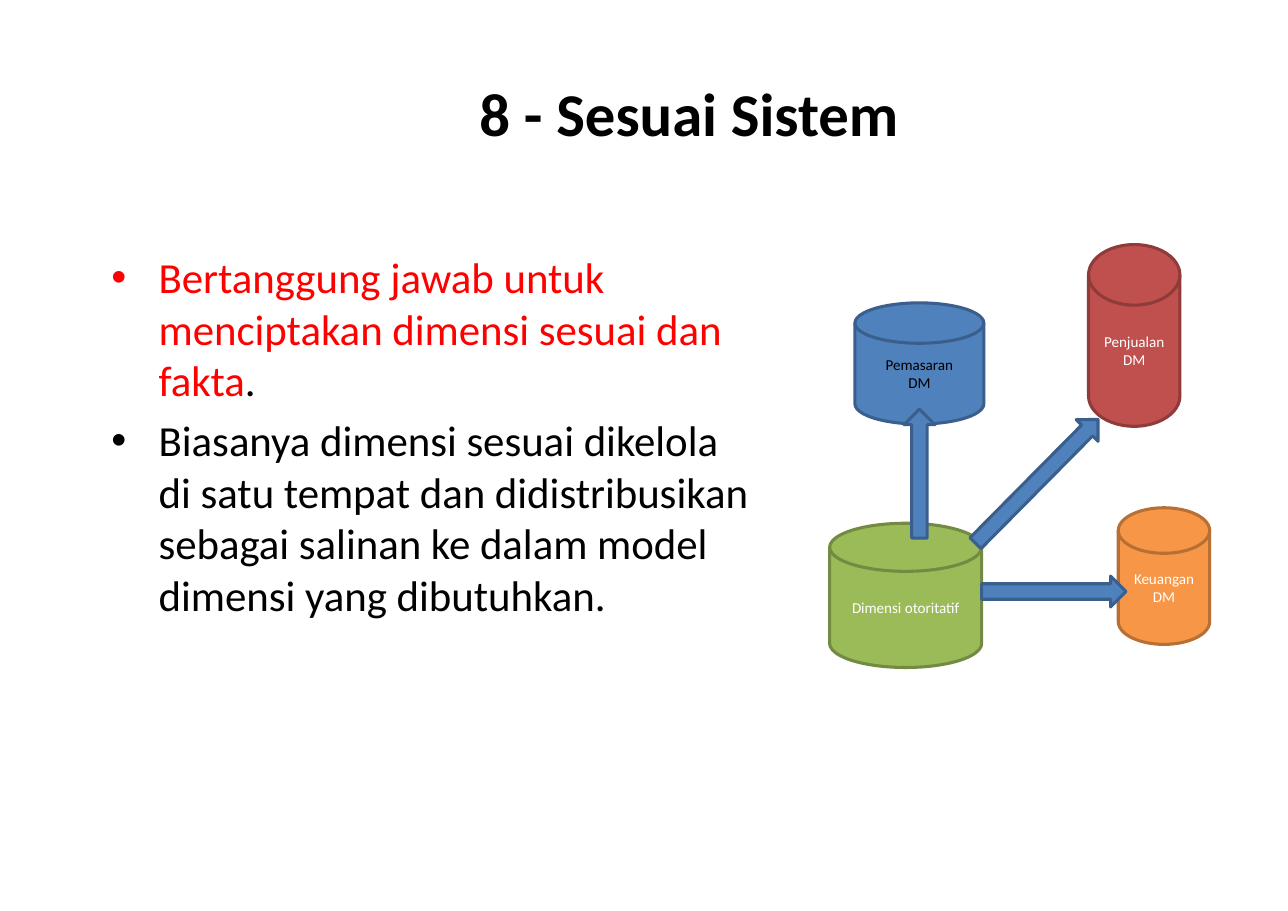
import pptx
import pptx.util
import pptx.dml.color
import pptx.enum.shapes
import pptx.enum.text

Inches = pptx.util.Inches
Pt = pptx.util.Pt
SHAPE = pptx.enum.shapes.MSO_SHAPE
ALIGN = pptx.enum.text.PP_ALIGN
ANCHOR = pptx.enum.text.MSO_ANCHOR

COLORS = {
    "black": "000000", "white": "FFFFFF", "red": "FF0000",
    "blue": "4F81BD", "navy": "3A5F8C",
    "green": "9BBB59", "moss": "738A42",
    "brick": "C0504D", "wine": "8E3B39",
    "orange": "F79646", "rust": "B76F34",
}


def color(name):
    return pptx.dml.color.RGBColor.from_string(COLORS[name])


def write(para, text, size=28, tint="black", bold=False, align=None):
    """Add text to a paragraph, with a line break at each newline."""
    para.alignment = align
    for i, line in enumerate(text.split("\n")):
        if i:
            para.add_line_break()
        run = para.add_run()
        run.text = line
        font = run.font
        font.name, font.size, font.bold = "Calibri", Pt(size), bold
        font.color.rgb = color(tint)


deck = pptx.Presentation()
deck.slide_width, deck.slide_height = Inches(11.69), Inches(8.27)
slide = deck.slides.add_slide(deck.slide_layouts[1])

# Title and body placeholders
title, body = slide.placeholders
for holder, box, anchor in [
    (title, (1.41, 0.33, 9.69, 1.38), ANCHOR.MIDDLE),
    (body, (0.9, 2.22, 6.01, 3.98), ANCHOR.TOP),
]:
    holder.left, holder.top, holder.width, holder.height = map(Inches, box)
    frame = holder.text_frame
    frame.auto_size = pptx.enum.text.MSO_AUTO_SIZE.NONE
    frame.word_wrap = True
    frame.vertical_anchor = anchor
    frame.margin_left = frame.margin_right = Inches(0.11)
    frame.margin_top = frame.margin_bottom = Inches(0.06)

write(title.text_frame.paragraphs[0], "8 - Sesuai Sistem",
      size=39.7, bold=True, align=ALIGN.CENTER)

duty = body.text_frame.paragraphs[0]
write(duty, "Bertanggung jawab untuk menciptakan dimensi sesuai dan fakta", tint="red")
write(duty, ".")
usage = body.text_frame.add_paragraph()
write(usage, "Biasanya dimensi sesuai dikelola di satu tempat dan didistribusikan "
             "sebagai salinan ke dalam model dimensi yang dibutuhkan.")
for para in (duty, usage):
    props = para._p.get_or_add_pPr()
    props.set("marL", str(Inches(0.43)))
    props.set("indent", str(Inches(-0.43)))

# Data stores, then the arrows between them
DISK, ARROW = SHAPE.FLOWCHART_MAGNETIC_DISK, SHAPE.RIGHT_ARROW
for kind, box, turn, fill, edge, text, tint in [
    (DISK, (7.53, 4.75, 1.38, 1.31), 0, "green", "moss", "Dimensi otoritatif", "white"),
    (DISK, (7.76, 2.75, 1.17, 1.1), 0, "blue", "navy", "Pemasaran\nDM", "black"),
    (DISK, (9.88, 2.22, 0.83, 1.65), 0, "brick", "wine", "Penjualan\nDM", "white"),
    (DISK, (10.15, 4.61, 0.83, 1.24), 0, "orange", "rust", "Keuangan\nDM", "white"),
    (ARROW, (7.76, 4.16, 1.17, 0.28), 270, "blue", "navy", "", "white"),
    (ARROW, (8.91, 5.23, 1.31, 0.28), 0, "blue", "navy", "", "white"),
    (ARROW, (8.62, 4.23, 1.58, 0.28), 314.7, "blue", "navy", "", "white"),
]:
    shape = slide.shapes.add_shape(kind, *map(Inches, box))
    shape.rotation = turn
    shape.shadow.inherit = False
    shape.fill.solid()
    shape.fill.fore_color.rgb = color(fill)
    shape.line.color.rgb = color(edge)
    shape.line.width = Pt(2)
    if text:
        shape.text_frame.vertical_anchor = ANCHOR.MIDDLE
        write(shape.text_frame.paragraphs[0], text,
              size=9.9, tint=tint, align=ALIGN.CENTER)

deck.save("out.pptx")
